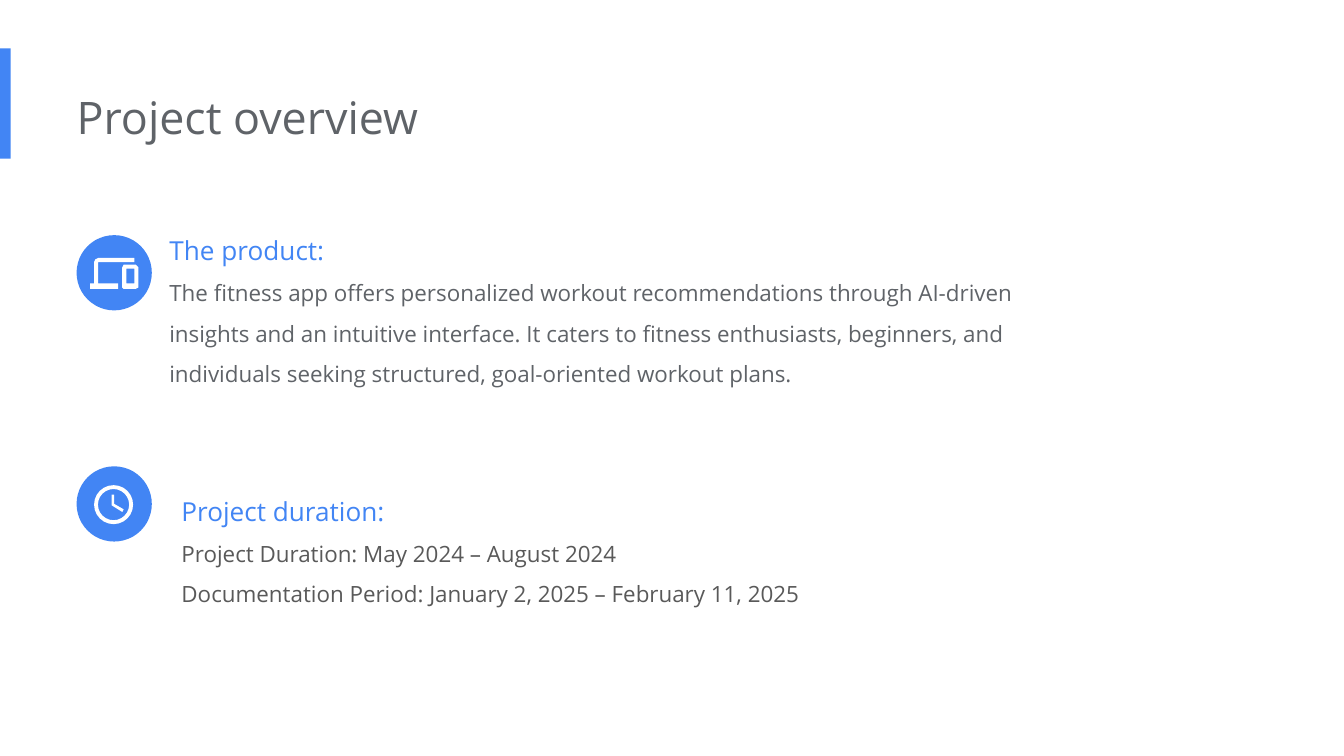
from dataclasses import dataclass

from lxml import etree
from pptx import Presentation
from pptx.dml import color
from pptx.enum import shapes, text
from pptx.oxml import ns
from pptx.util import Inches, Pt

BLUE, GREY, DARK, WHITE = "4285F4", "5F6368", "595959", "FFFFFF"
FONT = "Open Sans"
LEFT, DISC = 0.57, 0.56

Points = list[tuple[float, float]]


@dataclass
class Box:
    left: float
    top: float
    width: float
    height: float


@dataclass
class Line:
    words: str
    size: int
    tint: str
    lead: float = 1.5


@dataclass
class Topic:
    box: Box
    disc: float
    lines: list[Line]


def rgb(tint: str) -> color.RGBColor:
    return color.RGBColor.from_string(tint)


def paint(shape, tint: str) -> None:
    shape.shadow.inherit = False
    shape.fill.solid()
    shape.fill.fore_color.rgb = rgb(tint)
    shape.line.fill.background()


def draw(slide, kind, box: Box, tint: str):
    shape = slide.shapes.add_shape(
        kind, Inches(box.left), Inches(box.top), Inches(box.width), Inches(box.height))
    paint(shape, tint)
    return shape


def trace(slide, paths: list[Points]) -> None:
    first, *rest = [[(Inches(x), Inches(y)) for x, y in path] for path in paths]
    pen = slide.shapes.build_freeform(*first[0])
    pen.add_line_segments(first[1:], close=True)
    for path in rest:
        pen.move_to(*path[0])
        pen.add_line_segments(path[1:], close=True)
    paint(pen.convert_to_shape(), WHITE)


def write(holder, box: Box, lines: list[Line]) -> None:
    holder.left, holder.top = Inches(box.left), Inches(box.top)
    holder.width, holder.height = Inches(box.width), Inches(box.height)
    frame = holder.text_frame
    frame.word_wrap = True
    frame.auto_size = text.MSO_AUTO_SIZE.NONE
    frame.vertical_anchor = text.MSO_ANCHOR.TOP
    frame.margin_left = 0
    frame.margin_top = frame.margin_right = frame.margin_bottom = Inches(0.1)
    for spot, line in enumerate(lines):
        para = frame.add_paragraph() if spot else frame.paragraphs[0]
        props = para._p.get_or_add_pPr()
        props.set("marL", "0")
        props.set("indent", "0")
        etree.SubElement(props, ns.qn("a:buNone"))
        para.alignment = text.PP_ALIGN.LEFT
        para.line_spacing = line.lead
        para.space_before = Pt(0)
        run = para.add_run()
        run.text = line.words
        run.font.name = FONT
        run.font.size = Pt(line.size)
        run.font.color.rgb = rgb(line.tint)


def laptop(slide) -> None:
    base = [(0.73, 1.95), (1, 1.95), (1, 1.92), (0.73, 1.92), (0.71, 1.93), (0.7, 1.95),
            (0.7, 2.11), (0.67, 2.11), (0.67, 2.15), (0.88, 2.15), (0.88, 2.11), (0.73, 2.11)]
    phone = [(0.92, 1.97), (1.01, 1.97), (1.03, 1.99), (1.03, 2.14), (1.01, 2.15),
             (0.92, 2.15), (0.91, 2.14), (0.91, 1.99)]
    screen = [(0.94, 2), (0.94, 2.11), (1, 2.11), (1, 2)]
    trace(slide, [base, phone, screen])


def clock(slide) -> None:
    ring = draw(slide, shapes.MSO_SHAPE.DONUT, Box(0.7, 3.61, 0.29, 0.29), WHITE)
    ring.adjustments[0] = 0.1
    trace(slide, [[(0.83, 3.68), (0.83, 3.76), (0.91, 3.81), (0.92, 3.79),
                   (0.85, 3.75), (0.85, 3.68)]])


TOPICS = [
    Topic(Box(1.26, 1.53, 6.64, 1.67), 1.75, [
        Line("The product:", 14, BLUE),
        Line("The fitness app offers personalized workout recommendations through "
             "AI-driven insights and an intuitive interface. It caters to fitness "
             "enthusiasts, beginners, and individuals seeking structured, "
             "goal-oriented workout plans.", 12, GREY)]),
    Topic(Box(1.35, 3.47, 7.33, 1.06), 3.47, [
        Line("Project duration:", 14, BLUE),
        Line("Project Duration: May 2024 – August 2024", 12, DARK),
        Line("Documentation Period: January 2, 2025 – February 11, 2025", 12, DARK)]),
]


def main() -> None:
    deck = Presentation()
    deck.slide_width = Inches(10)
    deck.slide_height = Inches(10 * 9 / 16)
    slide = deck.slides.add_slide(deck.slide_layouts[3])
    title, *bodies = slide.placeholders
    draw(slide, shapes.MSO_SHAPE.RECTANGLE, Box(0, 0.36, 0.08, 0.82), BLUE)
    write(title, Box(LEFT, 0.57, 6.73, 0.61), [Line("Project overview", 24, GREY, 1.0)])
    for body, topic in zip(bodies, TOPICS):
        write(body, topic.box, topic.lines)
        draw(slide, shapes.MSO_SHAPE.OVAL, Box(LEFT, topic.disc, DISC, DISC), BLUE)
    laptop(slide)
    clock(slide)
    deck.save("out.pptx")


if __name__ == "__main__":
    main()
